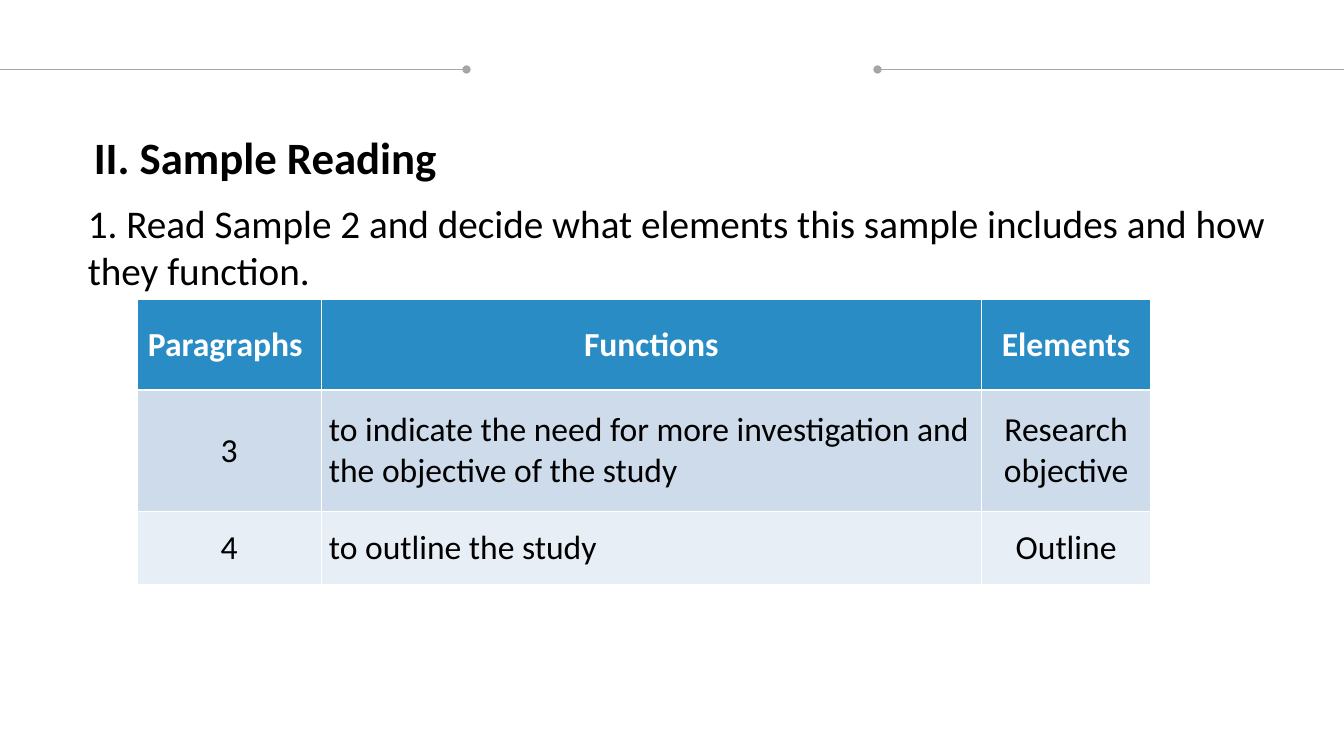
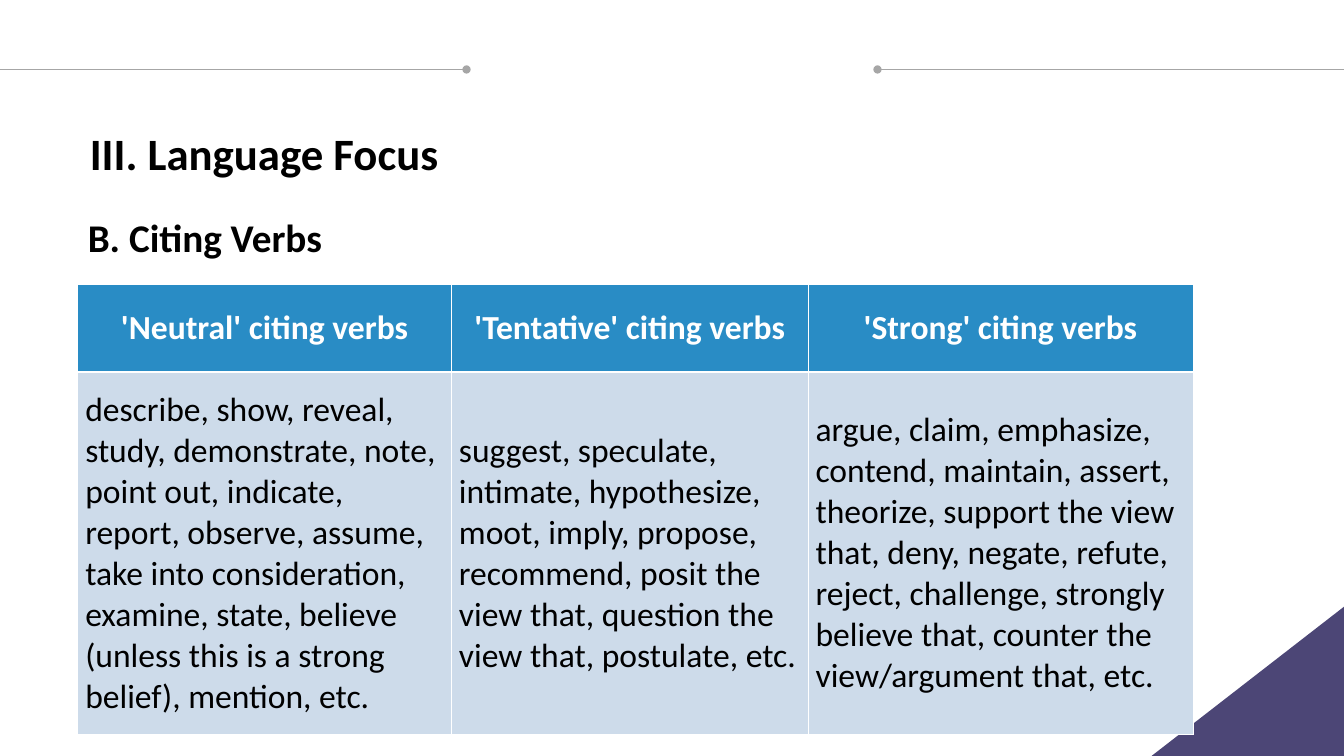
import pptx
import pptx.dml.color
import pptx.enum.shapes
import pptx.enum.text
import pptx.oxml
import pptx.oxml.ns
import pptx.util

Cm = pptx.util.Cm
Pt = pptx.util.Pt
RGBColor = pptx.dml.color.RGBColor
ALIGN = pptx.enum.text.PP_ALIGN
ANCHOR = pptx.enum.text.MSO_ANCHOR
NS = pptx.oxml.ns.nsdecls("a")

BLACK = RGBColor(0x00, 0x00, 0x00)
WHITE = RGBColor(0xFF, 0xFF, 0xFF)
GRAY = RGBColor(0xA6, 0xA6, 0xA6)
BLUE = RGBColor(0x29, 0x8C, 0xC5)
PURPLE = RGBColor(0x4C, 0x46, 0x76)
BANDS = [RGBColor(0xCD, 0xDB, 0xEA), RGBColor(0xE8, 0xEE, 0xF5)]

WIDTH, HEIGHT = 33.88, 19.05
THIN, THICK = 0.45, 1.47


def write(tf, text, size=24, bold=False, color=BLACK, align=ALIGN.LEFT, before=0):
    p = tf.paragraphs[0]
    p.alignment = align
    p.space_before = Pt(before)
    r = p.add_run()
    r.text = text
    r.font.name = "Calibri"
    r.font.size = Pt(size)
    r.font.bold = bold
    r.font.color.rgb = color
    return p


class Deck:
    def __init__(self):
        self.prs = pptx.Presentation()
        self.prs.slide_width = Cm(WIDTH)
        self.prs.slide_height = Cm(HEIGHT)
        self.s = None

    def slide(self):
        self.s = self.prs.slides.add_slide(self.prs.slide_layouts[1])
        self.rule(0, 11.76, "tailEnd")
        self.rule(22.12, WIDTH, "headEnd")

    def rule(self, x1, x2, dot_end):
        line = self.s.shapes.add_connector(
            pptx.enum.shapes.MSO_CONNECTOR.STRAIGHT, Cm(x1), Cm(1.75), Cm(x2), Cm(1.75))
        line.line.color.rgb = GRAY
        line.line.width = Pt(0.5)
        line.line._get_or_add_ln().append(
            pptx.oxml.parse_xml(f'<a:{dot_end} {NS} type="oval"/>'))
        line._element.spPr.append(pptx.oxml.parse_xml(f"<a:effectLst {NS}/>"))

    def place(self, sp, x, y, w, h, wrap):
        sp.left, sp.top, sp.width, sp.height = Cm(x), Cm(y), Cm(w), Cm(h)
        tf = sp.text_frame
        tf.word_wrap = wrap
        tf.auto_size = pptx.enum.text.MSO_AUTO_SIZE.NONE
        tf.vertical_anchor = ANCHOR.TOP
        return tf

    def title(self, text, x, y, w):
        tf = self.place(self.s.shapes.title, x, y, w, 1.63, False)
        write(tf, text, size=32, bold=True)

    def body(self, text, y, h, bold=False):
        sp = self.s.placeholders[1]
        sp.fill.solid()
        sp.fill.fore_color.rgb = WHITE
        tf = self.place(sp, 1.96, y, 30.23, h, True)
        pPr = write(tf, text, size=28, bold=bold, before=6)._p.get_or_add_pPr()
        pPr.set("marL", "0")
        pPr.set("indent", "0")
        pPr.append(pptx.oxml.parse_xml(f"<a:buNone {NS}/>"))

    def corner(self, w, h):
        builder = self.s.shapes.build_freeform(Cm(WIDTH), Cm(HEIGHT - h))
        builder.add_line_segments(
            [(Cm(WIDTH), Cm(HEIGHT)), (Cm(WIDTH - w), Cm(HEIGHT))], close=True)
        sp = builder.convert_to_shape()
        sp.fill.solid()
        sp.fill.fore_color.rgb = PURPLE
        sp.line.fill.background()
        sp.shadow.inherit = False

    def borders(self, cell, row):
        top = THICK if row == 1 else THIN
        bottom = THICK if row == 0 else THIN
        tcPr = cell._tc.get_or_add_tcPr()
        for side, width in zip("LRTB", (THIN, THIN, top, bottom)):
            tcPr.append(pptx.oxml.parse_xml(
                f'<a:ln{side} {NS} w="{int(Pt(width))}"><a:solidFill>'
                f'<a:srgbClr val="{WHITE}"/></a:solidFill></a:ln{side}>'))

    def table(self, x, y, widths, heights, rows, aligns):
        frame = self.s.shapes.add_table(
            len(rows), len(widths), Cm(x), Cm(y), Cm(sum(widths)), Cm(sum(heights)))
        table = frame.table
        for column, width in zip(table.columns, widths):
            column.width = Cm(width)
        for i, texts in enumerate(rows):
            table.rows[i].height = Cm(heights[i])
            header = i == 0
            for j, text in enumerate(texts):
                cell = table.cell(i, j)
                cell.margin_left = cell.margin_right = Cm(0.19)
                cell.vertical_anchor = ANCHOR.MIDDLE
                self.borders(cell, i)
                cell.fill.solid()
                cell.fill.fore_color.rgb = BLUE if header else BANDS[(i - 1) % 2]
                write(cell.text_frame, text, bold=header,
                      color=WHITE if header else BLACK,
                      align=ALIGN.CENTER if header else aligns[j])


def main():
    deck = Deck()

    deck.slide()
    deck.title("II. Sample Reading", 2.11, 3.15, 9.17)
    deck.body("1. Read Sample 2 and decide what elements this sample includes "
              "and how they function.", 4.9, 2.64)
    deck.table(3.45, 7.54, [4.65, 16.64, 4.27], [2.29, 3.05, 1.85], [
        ["Paragraphs ", "Functions", "Elements"],
        ["3", "to indicate the need for more investigation and the objective of the study",
         "Research objective"],
        ["4", "to outline the study", "Outline"],
    ], [ALIGN.CENTER, ALIGN.LEFT, ALIGN.CENTER])

    deck.slide()
    deck.title("III. Language Focus", 2.01, 3.05, 9.32)
    deck.body("B. Citing Verbs", 5.26, 1.45, bold=True)
    deck.corner(4.85, 3.76)
    deck.table(1.96, 7.16, [9.42, 8.99, 9.7], [2.21, 9.14], [
        ["'Neutral' citing verbs", "'Tentative' citing verbs", "'Strong' citing verbs"],
        ["describe, show, reveal, study, demonstrate, note, point out, indicate, report, "
         "observe, assume, take into consideration, examine, state, believe (unless this "
         "is a strong belief), mention, etc.",
         "suggest, speculate, intimate, hypothesize, moot, imply, propose, recommend, "
         "posit the view that, question the view that, postulate, etc.",
         "argue, claim, emphasize, contend, maintain, assert, theorize, support the view "
         "that, deny, negate, refute, reject, challenge, strongly believe that, counter "
         "the view/argument that, etc."],
    ], [ALIGN.LEFT] * 3)

    deck.prs.save("out.pptx")


if __name__ == "__main__":
    main()
